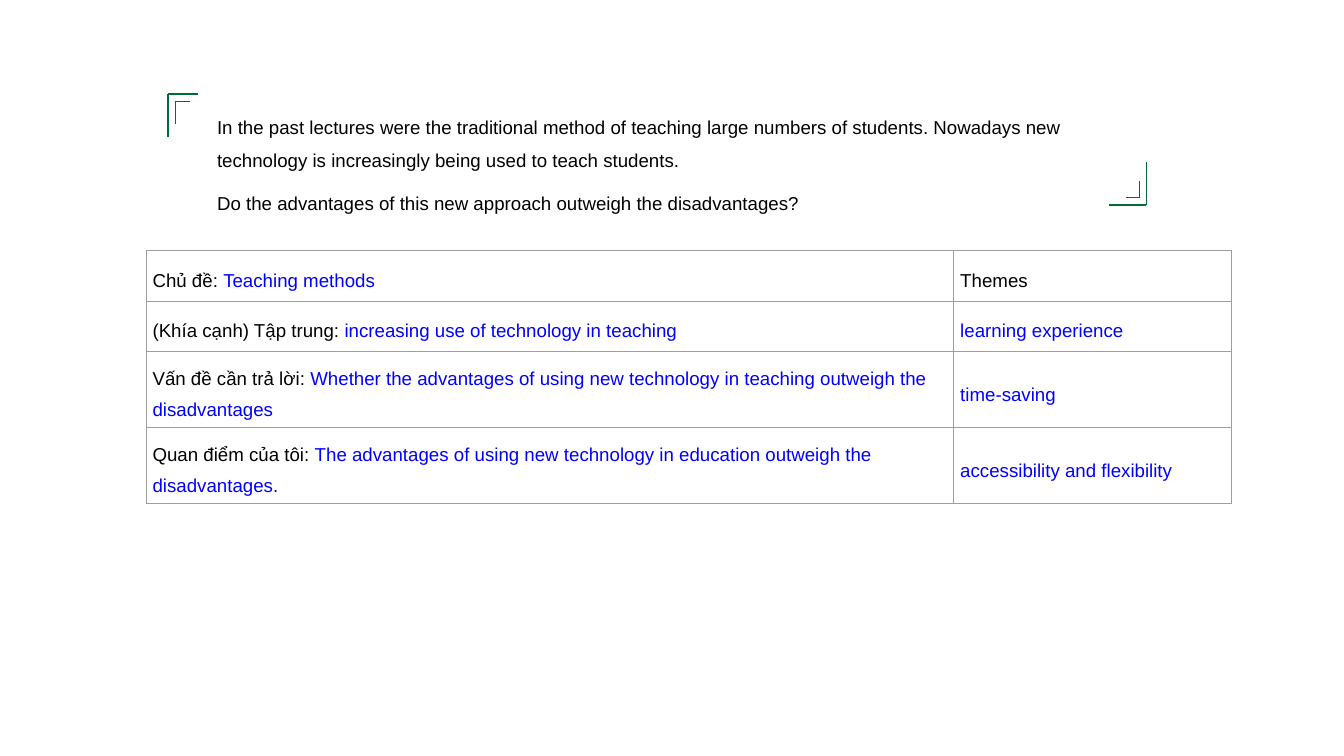
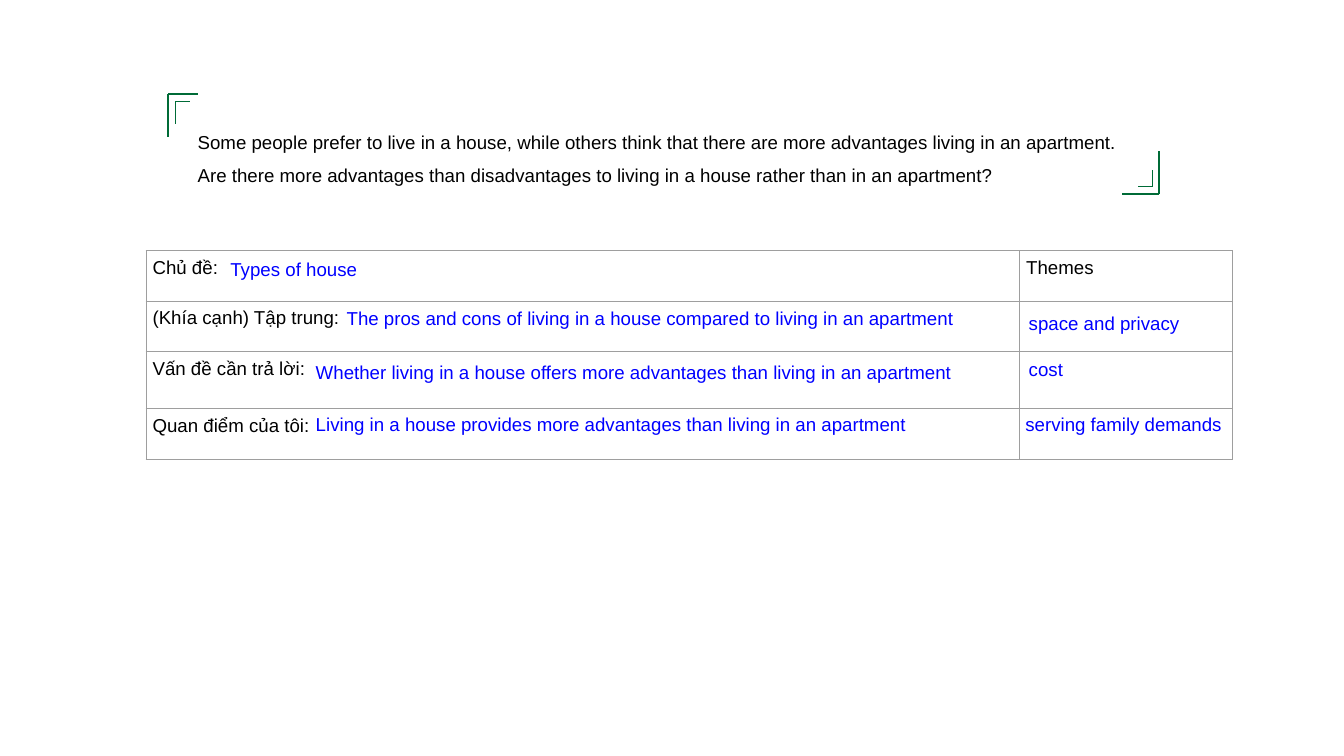
"""Build two essay-question analysis slides, each with a framed question and a planning table."""
from dataclasses import dataclass

from lxml import etree
from pptx import Presentation
from pptx.dml.color import RGBColor
from pptx.enum import shapes, text
from pptx.oxml import ns
from pptx.util import Pt


@dataclass(frozen=True)
class Theme:
    ink: str = "000000"
    answer: str = "0000FF"
    bracket: str = "006B37"
    border: str = "9E9E9E"
    font: str = "Arial"
    size: float = 20
    inset: float = 7.2
    bracket_width: float = 1.5
    border_width: float = 0.75


T = Theme()
TABLE_AT = (156.24, 268.56)
OPENING = dict(corner=(180, 100.8), arms=(31.68, 46.08), gap=(8, 8), inner=(15.84, 24.48))
CLOSING = dict(arms=(-40.32, -46.08), gap=(-7.2, -8), inner=(-15.12, -18))

SLIDES = [
    dict(
        question=["In the past lectures were the traditional method of teaching large numbers of "
                  "students. Nowadays new technology is increasingly being used to teach students.",
                  "Do the advantages of this new approach outweigh the disadvantages?"],
        box=(225.36, 110.16, 982.8, 120.96), gap=10, closing=(1228.32, 219.6),
        cols=(865.4, 298.1), rows=(54, 54, 54, 54), spacing=1.5,
        anchor=text.MSO_ANCHOR.MIDDLE,
        cells=[
            (("Chủ đề: ", "Teaching methods"), ("Themes", "")),
            (("(Khía cạnh) Tập trung: ", "increasing use of technology in teaching"),
             ("", "learning experience")),
            (("Vấn đề cần trả lời: ", "Whether the advantages of using new technology in "
              "teaching outweigh the disadvantages"), ("", "time-saving")),
            (("Quan điểm của tôi: ", "The advantages of using new technology in education "
              "outweigh the disadvantages."), ("", "accessibility and flexibility")),
        ],
        answers=[]),
    dict(
        question=["Some people prefer to live in a house, while others think that there are more "
                  "advantages living in an apartment.",
                  "Are there more advantages than disadvantages to living in a house rather than "
                  "in an apartment?"],
        box=(204.48, 110.16, 1054.8, 107.28), gap=0, closing=(1242, 208.08),
        cols=(936, 228), rows=(54, 54, 61.2, 54), spacing=1,
        anchor=text.MSO_ANCHOR.TOP,
        cells=[
            (("Chủ đề:", ""), ("Themes", "")),
            (("(Khía cạnh) Tập trung:", ""), ("", "")),
            (("Vấn đề cần trả lời:", ""), ("", "")),
            (("Quan điểm của tôi:", ""), ("", "")),
        ],
        answers=[
            ("Types of house", (239.76, 268.56, 299.52, 27.36), 1),
            ("The pros and cons of living in a house compared to living in an apartment",
             (364.32, 321.84, 704.16, 27.36), 1),
            ("Whether living in a house offers more advantages than living in an apartment",
             (331.2, 375.84, 750.24, 51.12), 1.15),
            ("Living in a house provides more advantages than living in an apartment",
             (331.2, 435.6, 766.8, 51.12), 1),
            ("space and privacy", (1095.12, 326.88, 216, 40.32), 1),
            ("cost", (1095.12, 375.84, 225.36, 51.12), 1),
            ("serving family demands", (1091.52, 434.88, 225.36, 27.36), 1),
        ]),
]


def write(p, runs, spacing):
    p.alignment = text.PP_ALIGN.LEFT
    p.line_spacing = spacing
    for words, colour in runs:
        if words:
            r = p.add_run()
            r.text = words
            r.font.name, r.font.size = T.font, Pt(T.size)
            r.font.color.rgb = RGBColor.from_string(colour)


def set_frame(tf, anchor):
    tf.word_wrap = True
    tf.auto_size = text.MSO_AUTO_SIZE.NONE
    tf.vertical_anchor = anchor
    tf.margin_left = tf.margin_right = tf.margin_top = tf.margin_bottom = Pt(T.inset)


def add_question(s, paragraphs, box, gap):
    sp = s.shapes.title
    sp.left, sp.top, sp.width, sp.height = map(Pt, box)
    tf = sp.text_frame
    set_frame(tf, text.MSO_ANCHOR.MIDDLE)
    for i, words in enumerate(paragraphs):
        p = tf.add_paragraph() if i else tf.paragraphs[0]
        p.space_before = Pt(gap if i else 0)
        write(p, [(words, T.ink)], 1.5)


def add_answer(s, words, box, spacing):
    tf = s.shapes.add_textbox(*map(Pt, box)).text_frame
    set_frame(tf, text.MSO_ANCHOR.TOP)
    write(tf.paragraphs[0], [(words, T.answer)], spacing)


def add_bracket(s, corner, arms, gap, inner):
    group = s.shapes.add_group_shape()
    x, y = corner
    inner_corner = (x + gap[0], y + gap[1])
    for (cx, cy), (dx, dy) in ((corner, arms), (inner_corner, inner)):
        for end in ((cx, cy + dy), (cx + dx, cy)):
            line = group.shapes.add_connector(
                shapes.MSO_CONNECTOR.STRAIGHT, *map(Pt, (cx, cy, *end)))
            line.line.color.rgb = RGBColor.from_string(T.bracket)
            line.line.width = Pt(T.bracket_width)
            etree.SubElement(line._element.spPr, ns.qn("a:effectLst"))


def set_borders(cell):
    props = cell._tc.get_or_add_tcPr()
    for i, side in enumerate(("a:lnL", "a:lnR", "a:lnT", "a:lnB")):
        ln = etree.Element(ns.qn(side), w=str(Pt(T.border_width)))
        fill = etree.SubElement(ln, ns.qn("a:solidFill"))
        etree.SubElement(fill, ns.qn("a:srgbClr"), val=T.border)
        props.insert(i, ln)


def add_plan(s, cells, cols, rows, spacing, anchor):
    table = s.shapes.add_table(len(rows), len(cols), *map(Pt, (*TABLE_AT, sum(cols), sum(rows)))).table
    table.first_row = table.horz_banding = False
    for column, width in zip(table.columns, cols):
        column.width = Pt(width)
    for row, height, contents in zip(table.rows, rows, cells):
        row.height = Pt(height)
        for cell, (label, answer) in zip(row.cells, contents):
            cell.fill.background()
            cell.vertical_anchor = anchor
            cell.margin_left = cell.margin_right = Pt(T.inset)
            cell.margin_top = cell.margin_bottom = Pt(T.inset)
            set_borders(cell)
            write(cell.text_frame.paragraphs[0], [(label, T.ink), (answer, T.answer)], spacing)


def main():
    prs = Presentation()
    prs.slide_width, prs.slide_height = Pt(1440), Pt(810)
    title_only = prs.slide_layouts[5]
    for content in SLIDES:
        s = prs.slides.add_slide(title_only)
        add_plan(s, *(content[key] for key in ("cells", "cols", "rows", "spacing", "anchor")))
        add_question(s, content["question"], content["box"], content["gap"])
        add_bracket(s, **OPENING)
        add_bracket(s, corner=content["closing"], **CLOSING)
        for answer in content["answers"]:
            add_answer(s, *answer)
    prs.save("out.pptx")


if __name__ == "__main__":
    main()
